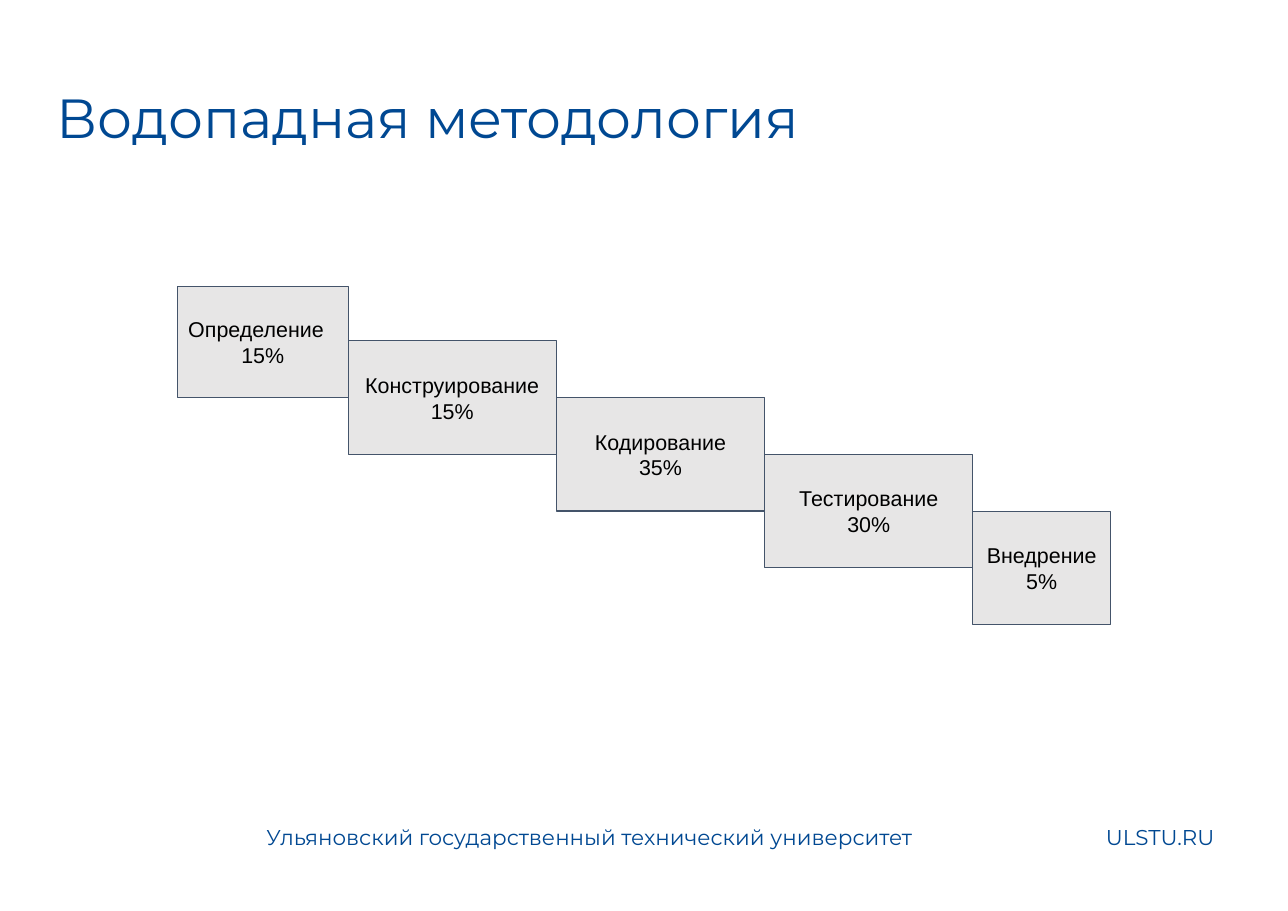
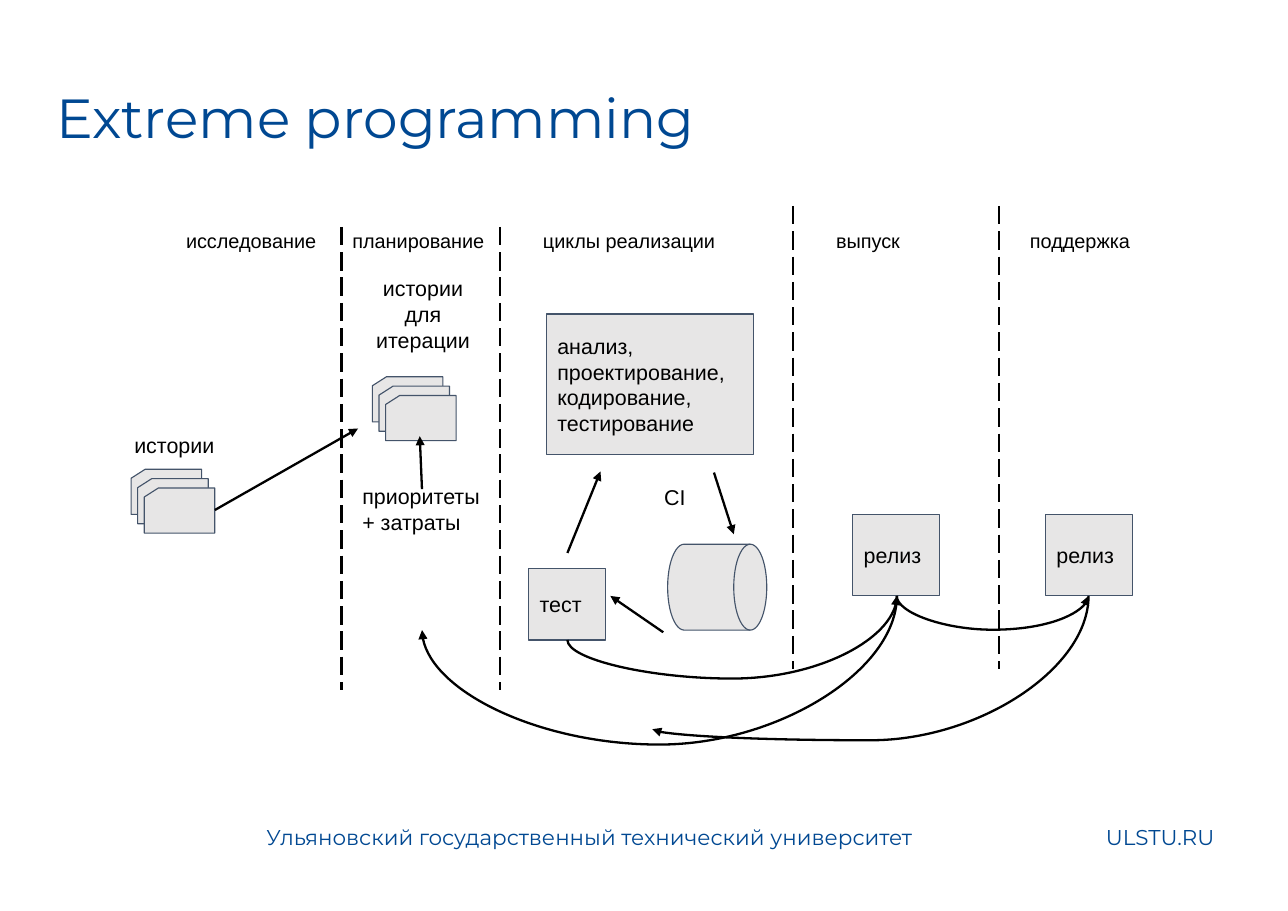
from dataclasses import dataclass
from itertools import accumulate

from lxml.etree import SubElement
from pptx import Presentation
from pptx.dml.color import RGBColor
from pptx.enum.dml import MSO_LINE
from pptx.enum.shapes import MSO_CONNECTOR as Link, MSO_SHAPE as Preset
from pptx.enum.text import MSO_ANCHOR as Anchor, PP_ALIGN as Align
from pptx.oxml.ns import qn
from pptx.presentation import Presentation as Deck
from pptx.shapes.autoshape import Shape
from pptx.shapes.connector import Connector
from pptx.slide import Slide
from pptx.util import Inches, Length, Pt

# Grid: every length below is a number of columns or rows
CELL = 0.1
COLUMNS, ROWS = 116.9, 82.7

# Shared look
BLUE = RGBColor(0x00, 0x48, 0x92)
BLACK = RGBColor(0x00, 0x00, 0x00)
PANEL = RGBColor(0xE7, 0xE6, 0xE6)
OUTLINE = RGBColor(0x44, 0x54, 0x6A)


@dataclass(frozen=True)
class TextStyle:
    face: str = "Arial"
    size: float = 14
    color: RGBColor = BLACK
    spacing: float = 1.0
    after: float = 0
    inset: float = 1.0
    inset_y: float = 1.0


BODY = TextStyle()
PHASE = TextStyle(size=13, spacing=1.5, after=16)
TITLE = TextStyle("Montserrat", 36, BLUE, spacing=0.9, inset=1.1, inset_y=1.1)
FOOTER = TextStyle("Montserrat", 14, BLUE, inset_y=0.5)


@dataclass(frozen=True)
class Box:
    left: float
    top: float
    width: float
    height: float


@dataclass(frozen=True)
class Label:
    box: Box
    lines: tuple[str, ...]
    style: TextStyle = BODY
    align: Align = Align.LEFT


@dataclass(frozen=True)
class Stage:
    name: str
    share: str
    width: float
    align: Align = Align.CENTER


@dataclass(frozen=True)
class Arrow:
    x1: float
    y1: float
    x2: float
    y2: float


@dataclass(frozen=True)
class Loop(Arrow):
    floor: float  # row of the curve's control points


def cells(count: float) -> Length:
    return Inches(count * CELL)


def place(box: Box) -> tuple[Length, ...]:
    return tuple(map(cells, (box.left, box.top, box.width, box.height)))


# Text and shapes
def write(shape: Shape, lines: tuple[str, ...], style: TextStyle,
          aligns: tuple[Align, ...], anchor: Anchor) -> None:
    frame = shape.text_frame
    frame.word_wrap = True
    frame.vertical_anchor = anchor
    frame.margin_left = frame.margin_right = cells(style.inset)
    frame.margin_top = frame.margin_bottom = cells(style.inset_y)
    frame.text = "\n".join(lines)
    for paragraph, align in zip(frame.paragraphs, aligns):
        paragraph.alignment = align
        paragraph.line_spacing = style.spacing
        paragraph.space_after = Pt(style.after)
        font = paragraph.font
        font.name, font.size = style.face, Pt(style.size)
        font.color.rgb = style.color


def add_label(slide: Slide, label: Label) -> None:
    write(slide.shapes.add_textbox(*place(label.box)), label.lines, label.style,
          (label.align,) * len(label.lines), Anchor.TOP)


def add_panel(slide: Slide, box: Box, preset: Preset = Preset.RECTANGLE) -> Shape:
    panel = slide.shapes.add_shape(preset, *place(box))
    panel.shadow.inherit = False
    panel.fill.solid()
    panel.fill.fore_color.rgb = PANEL
    panel.line.color.rgb = OUTLINE
    panel.line.width = Pt(0.75)
    return panel


def add_text_panel(slide: Slide, box: Box, lines: tuple[str, ...],
                   aligns: tuple[Align, ...] = (Align.LEFT,) * 2) -> None:
    write(add_panel(slide, box), lines, BODY, aligns, Anchor.MIDDLE)


def add_card_stack(slide: Slide, left: float, top: float) -> None:
    for i in range(3):
        add_panel(slide, Box(left + 0.6 * i, top + 0.85 * i, 6.4, 4.1),
                  Preset.FLOWCHART_CARD)


# Lines and arrows
def add_line(slide: Slide, link: Link, x1: float, y1: float,
             x2: float, y2: float) -> Connector:
    line = slide.shapes.add_connector(link, *map(cells, (x1, y1, x2, y2)))
    line.line.color.rgb = BLACK
    line.line.width = Pt(1.5)
    SubElement(line._element.spPr, qn("a:effectLst"))
    return line


def add_head(line: Connector) -> None:
    SubElement(line._element.spPr.find(qn("a:ln")), qn("a:tailEnd"), type="triangle")


def add_arrow(slide: Slide, arrow: Arrow) -> None:
    add_head(add_line(slide, Link.STRAIGHT, arrow.x1, arrow.y1, arrow.x2, arrow.y2))


def add_loop(slide: Slide, loop: Loop) -> None:
    """A curve that leaves downwards, so its frame is turned by a quarter."""
    run, rise = loop.x2 - loop.x1, loop.y2 - loop.y1
    rise = rise or 0.01
    width, height = abs(rise), abs(run)
    left = (loop.x1 + loop.x2 - width) / 2
    top = (loop.y1 + loop.y2 - height) / 2
    curve = add_line(slide, Link.CURVE, left, top, left + width, top + height)
    frame = curve._element.spPr.find(qn("a:xfrm"))
    frame.set("rot", str((270 if run > 0 else 90) * 60000))
    if (run > 0) == (rise > 0):
        frame.set("flipH", "1")
    geometry = curve._element.spPr.find(qn("a:prstGeom"))
    bend = round((loop.floor - loop.y1) / rise * 100000)
    SubElement(geometry.get_or_add_avLst(), qn("a:gd"),
               name="adj1", fmla=f"val {bend}")
    add_head(curve)


def new_slide(deck: Deck, title: str) -> Slide:
    slide = deck.slides.add_slide(deck.slide_layouts[6])
    add_label(slide, Label(Box(4, 7.2, 109, 9.2), (title,), TITLE))
    for left, width, text in (
        (23.2, 62, "Ульяновский государственный технический университет"),
        (99.4, 14, "ULSTU.RU"),
    ):
        add_label(slide, Label(Box(left, 74.3, width, 3.9), (text,), FOOTER))
    return slide


# Slide 1: waterfall
STAGES = (
    Stage("Определение", "15%", 15.5, Align.LEFT),
    Stage("Конструирование", "15%", 18.9),
    Stage("Кодирование", "35%", 18.9),
    Stage("Тестирование", "30%", 18.9),
    Stage("Внедрение", "5%", 12.5),
)
STAIRS_LEFT, STAIRS_TOP = 16.1, 26
STEP_BASE, STEP_DROP = 25.8, 5.15


def build_waterfall(deck: Deck) -> None:
    slide = new_slide(deck, "Водопадная методология")
    lefts = accumulate((stage.width for stage in STAGES), initial=STAIRS_LEFT)
    for i, (left, stage) in enumerate(zip(lefts, STAGES)):
        top = max(STAIRS_TOP, STEP_BASE + i * STEP_DROP)
        bottom = STEP_BASE + (i + 2) * STEP_DROP
        add_text_panel(slide, Box(left, top, stage.width, bottom - top),
                       (stage.name, stage.share), (stage.align, Align.CENTER))


# Slide 2: extreme programming
DIVIDERS = ((31, 20.6), (45.4, 20.6), (72, 18.7), (90.7, 18.7))
DIVIDER_HEIGHT = 42
PHASES = (
    (15.9, 15.6, "исследование"),
    (31, 14.4, "планирование"),
    (48.3, 19.3, "циклы реализации"),
    (74.9, 11.7, "выпуск"),
    (92.5, 11.7, "поддержка"),
)
CARD_STACKS = ((11.9, 42.6), (33.8, 34.2))
CAPTIONS = (
    Label(Box(11.2, 38.2, 10.2, 3.2), ("истории",)),
    Label(Box(31.9, 24, 13, 9), ("истории", "для итерации"), align=Align.CENTER),
    Label(Box(31.9, 42.9, 13, 14.3), ("приоритеты + затраты",)),
    Label(Box(59.3, 42.9, 4.6, 3.2), ("CI",)),
)
ACTIVITIES = (
    (Box(49.6, 28.5, 18.8, 12.8),
     ("анализ, проектирование,", "кодирование, тестирование")),
    (Box(48, 51.6, 7, 6.5), ("тест",)),
    (Box(77.4, 46.7, 7.9, 7.4), ("релиз",)),
    (Box(94.9, 46.7, 7.9, 7.4), ("релиз",)),
)
REPOSITORY = Box(60.6, 49.4, 9, 7.8)
ARROWS = (
    Arrow(19.5, 46.3, 32.5, 38.9),
    Arrow(38.3, 44.4, 38.1, 39.6),
    Arrow(64.8, 42.9, 66.6, 48.5),
    Arrow(60.2, 57.4, 55.4, 54.1),
    Arrow(51.5, 50.2, 54.5, 42.8),
)
LOOPS = (
    Loop(51.5, 58.1, 81.4, 54.1, 61.6),
    Loop(81.4, 54.1, 98.8, 54.1, 56.7),
    Loop(81.4, 54.1, 38.3, 57.2, 67.6),
    Loop(98.8, 54.1, 59.2, 66.2, 67.2),
)


def build_extreme(deck: Deck) -> None:
    slide = new_slide(deck, "Extreme programming")
    for x, top in DIVIDERS:
        divider = add_line(slide, Link.STRAIGHT, x, top, x, top + DIVIDER_HEIGHT)
        divider.line.dash_style = MSO_LINE.LONG_DASH
    for left, width, phase in PHASES:
        add_label(slide, Label(Box(left, 18.7, width, 4.3), (phase,), PHASE))
    for left, top in CARD_STACKS:
        add_card_stack(slide, left, top)
    for caption in CAPTIONS:
        add_label(slide, caption)
    for box, lines in ACTIVITIES:
        add_text_panel(slide, box, lines)
    add_panel(slide, REPOSITORY, Preset.FLOWCHART_DIRECT_ACCESS_STORAGE)
    for arrow in ARROWS:
        add_arrow(slide, arrow)
    for loop in LOOPS:
        add_loop(slide, loop)


def main() -> None:
    deck = Presentation()
    deck.slide_width, deck.slide_height = cells(COLUMNS), cells(ROWS)
    build_waterfall(deck)
    build_extreme(deck)
    deck.save("out.pptx")


if __name__ == "__main__":
    main()
